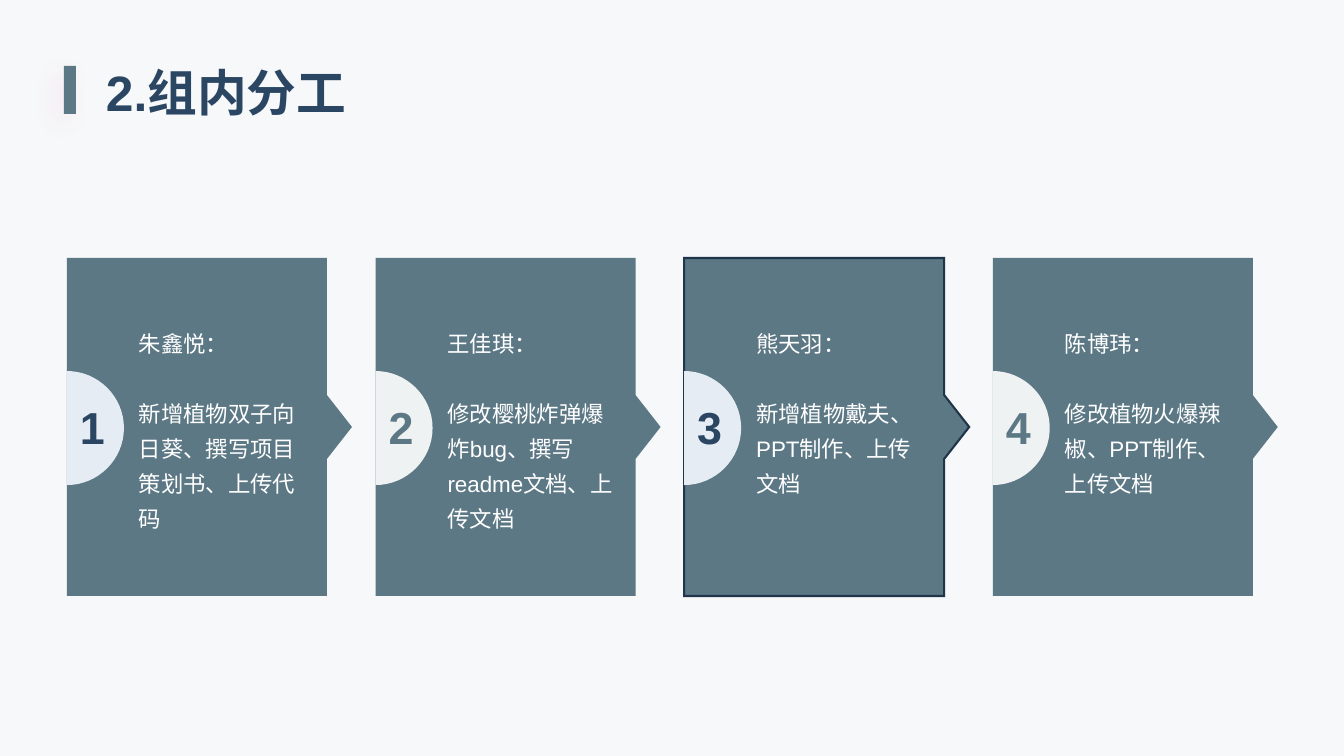
from lxml import etree
from pptx import Presentation
from pptx.dml.color import RGBColor
from pptx.enum.shapes import MSO_SHAPE
from pptx.enum.text import MSO_ANCHOR, PP_ALIGN
from pptx.oxml.ns import qn
from pptx.util import Pt

RECTANGLE = MSO_SHAPE.RECTANGLE
TOP, MIDDLE, BOTTOM = MSO_ANCHOR.TOP, MSO_ANCHOR.MIDDLE, MSO_ANCHOR.BOTTOM
LEFT, CENTER = PP_ALIGN.LEFT, PP_ALIGN.CENTER

SLIDE_WIDTH, SLIDE_HEIGHT = 1344, 756
EMU_PER_PX = 12192000 / SLIDE_WIDTH
FONT = "Arial"
COLORS = {
    "background": "F6F8F9",
    "slate": "5C7885",
    "navy": "2B4663",
    "outline": "20354A",
    "blue tint": "E5ECF4",
    "gray tint": "EEF2F3",
    "white": "FFFFFF",
    "glow": "FF5DA9",
}
MEMBERS = [
    ("朱鑫悦：", "新增植物双子向日葵、撰写项目策划书、上传代码"),
    ("王佳琪：", "修改樱桃炸弹爆炸bug、撰写readme文档、上传文档"),
    ("熊天羽：", "新增植物戴夫、PPT制作、上传文档"),
    ("陈博玮：", "修改植物火爆辣椒、PPT制作、上传文档"),
]
OUTLINED_MEMBER = 3
CARD_LEFT, CARD_TOP, CARD_WIDTH, CARD_HEIGHT = 67, 258, 285, 338
CARD_PITCH = 308.6
ARROW_DEPTH, ARROW_HALF = 25, 32
BADGE_RADIUS = 57
ARC_HANDLE = 0.55 * BADGE_RADIUS


def px(length):
    return round(length * EMU_PER_PX)


def color(name):
    return RGBColor.from_string(COLORS[name])


def style_shape(shape, fill, line=None):
    shape.shadow.inherit = False
    shape.fill.solid()
    shape.fill.fore_color.rgb = color(fill)
    if line:
        shape.line.color.rgb = color(line)
        shape.line.width = Pt(1.5)
        etree.SubElement(shape.line._get_or_add_ln(), qn("a:miter"), lim="800000")
    else:
        shape.line.fill.background()


def add_outline(slide, points):
    points = [(px(x), px(y)) for x, y in points]
    builder = slide.shapes.build_freeform(*points[0])
    builder.add_line_segments(points[1:], close=True)
    return builder.convert_to_shape()


def bend_outline(shape):
    """Turn every three line segments into one cubic curve."""
    lines = list(shape._element.iter(qn("a:lnTo")))
    for start in range(0, len(lines), 3):
        curve = etree.Element(qn("a:cubicBezTo"))
        lines[start].addprevious(curve)
        for line in lines[start:start + 3]:
            curve.append(line[0])
            line.getparent().remove(line)


def set_frame(frame, insets, anchor, wrap=True):
    frame.margin_left, frame.margin_top, frame.margin_right, frame.margin_bottom = map(px, insets)
    frame.vertical_anchor = anchor
    frame.word_wrap = wrap


def add_run(paragraph, text, size, font_color, bold=False, align=LEFT):
    paragraph.alignment = align
    run = paragraph.add_run()
    run.text = text
    run.font.name = FONT
    run.font.size = Pt(size)
    run.font.bold = bold
    run.font.color.rgb = color(font_color)


def add_glow(shape):
    effects = shape._element.spPr.find(qn("a:effectLst"))
    shadow = etree.SubElement(effects, qn("a:outerShdw"), blurRad=str(Pt(16)),
                              dist=str(Pt(8)), dir=str(135 * 60000), algn="tr", rotWithShape="0")
    tint = etree.SubElement(shadow, qn("a:srgbClr"), val=COLORS["glow"])
    etree.SubElement(tint, qn("a:alpha"), val="10000")


def add_title(slide, left, top, width, height):
    # Accent bar
    bar = slide.shapes.add_shape(RECTANGLE, px(left), px(top + 9), px(12), px(48))
    style_shape(bar, "slate")
    add_glow(bar)
    # Heading, hanging towards the bar
    heading = slide.shapes.add_textbox(px(left + 32), px(top), px(width - 32), px(height))
    set_frame(heading.text_frame, (10, 0, 10, 0), BOTTOM)
    paragraph = heading.text_frame.paragraphs[0]
    paragraph.line_spacing = 0.9
    paragraph._p.get_or_add_pPr().set("indent", str(px(-19)))
    add_run(paragraph, "2.组内分工", 35.5, "navy", bold=True)


def add_badge(slide, left, middle, number):
    fill, ink = ("blue tint", "navy") if number % 2 else ("gray tint", "slate")
    right, top, bottom = left + BADGE_RADIUS, middle - BADGE_RADIUS, middle + BADGE_RADIUS
    badge = add_outline(slide, [
        (left, top),
        (left + ARC_HANDLE, top), (right, middle - ARC_HANDLE), (right, middle),
        (right, middle + ARC_HANDLE), (left + ARC_HANDLE, bottom), (left, bottom),
    ])
    bend_outline(badge)
    style_shape(badge, fill)
    set_frame(badge.text_frame, (10, 21, 16, 23), MIDDLE, wrap=False)
    add_run(badge.text_frame.paragraphs[0], str(number), 32, ink, bold=True, align=CENTER)


def add_member_card(slide, left, top, width, height, number, name, tasks):
    # Panel with an arrow on its right side
    right, bottom, middle = left + width, top + height, top + height / 2
    edge = right - ARROW_DEPTH
    card = add_outline(slide, [
        (edge, top), (edge, middle - ARROW_HALF), (right, middle),
        (edge, middle + ARROW_HALF), (edge, bottom), (left, bottom), (left, top),
    ])
    style_shape(card, "slate", "outline" if number == OUTLINED_MEMBER else None)
    # Name and tasks
    frame = card.text_frame
    set_frame(frame, (72, 64, 47, 52), TOP)
    name_paragraph, tasks_paragraph = frame.paragraphs[0], frame.add_paragraph()
    for paragraph, text in ((name_paragraph, name), (tasks_paragraph, tasks)):
        paragraph.line_spacing = 1.3
        add_run(paragraph, text, 16, "white")
    tasks_paragraph.space_before = Pt(25)
    # Number
    add_badge(slide, left, middle + 1, number)


def main():
    presentation = Presentation()
    presentation.slide_width, presentation.slide_height = px(SLIDE_WIDTH), px(SLIDE_HEIGHT)
    slide = presentation.slides.add_slide(presentation.slide_layouts[6])
    slide.background.fill.solid()
    slide.background.fill.fore_color.rgb = color("background")
    add_title(slide, 64, 57, 1203, 65)
    for index, (name, tasks) in enumerate(MEMBERS):
        add_member_card(slide, CARD_LEFT + index * CARD_PITCH, CARD_TOP, CARD_WIDTH, CARD_HEIGHT,
                        index + 1, name, tasks)
    presentation.save("out.pptx")


if __name__ == "__main__":
    main()
